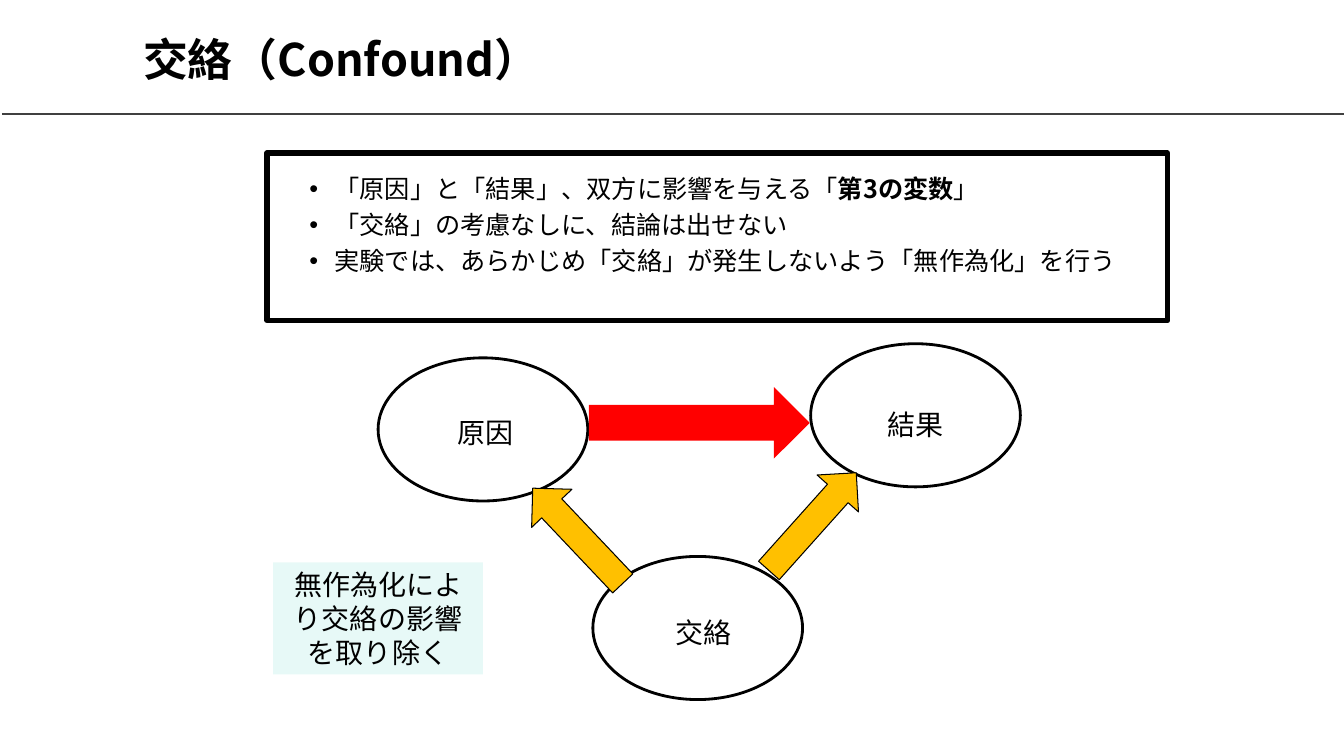
from lxml import etree
from pptx import Presentation
from pptx.dml.color import RGBColor
from pptx.enum import shapes, text
from pptx.oxml import ns
from pptx.util import Inches, Pt

FONT = "Noto Sans CJK JP"
BLACK = RGBColor(0x00, 0x00, 0x00)
GRAY = RGBColor(0x40, 0x40, 0x40)
RED = RGBColor(0xFF, 0x00, 0x00)
AMBER = RGBColor(0xFF, 0xC0, 0x00)
MINT = RGBColor(0xD0, 0xF4, 0xEF)


def style_run(run, size, bold=False):
    run.font.name = FONT
    run.font.size = Pt(size)
    run.font.bold = bold
    run.font.color.rgb = BLACK
    east_asian = etree.SubElement(run.font._element, ns.qn("a:ea"))
    east_asian.set("typeface", FONT)


def add_figure(kind, left, top, width, height, fill=None, line_width=None, rotation=0):
    shape = slide.shapes.add_shape(
        kind, Inches(left), Inches(top), Inches(width), Inches(height))
    shape.shadow.inherit = False
    shape.rotation = rotation
    if fill is None:
        shape.fill.background()
    else:
        shape.fill.solid()
        shape.fill.fore_color.rgb = fill
    if line_width is None:
        shape.line.fill.background()
    else:
        shape.line.color.rgb = BLACK
        shape.line.width = Pt(line_width)
    return shape


presentation = Presentation()
presentation.slide_width = Inches(13.33)
presentation.slide_height = Inches(7.5)
slide = presentation.slides.add_slide(presentation.slide_layouts[5])

rule = slide.shapes.add_connector(
    shapes.MSO_CONNECTOR.STRAIGHT, Inches(0.02), Inches(1.13), Inches(13.33), Inches(1.13))
rule.line.color.rgb = GRAY
rule.line.width = Pt(1.5)
etree.SubElement(rule._element.spPr, ns.qn("a:effectLst"))

title = slide.shapes.title
title.left, title.top = Inches(1.32), Inches(0.16)
title.width, title.height = Inches(11.56), Inches(0.84)
title.text_frame.text = "交絡（Confound）"
title.text_frame.vertical_anchor = text.MSO_ANCHOR.MIDDLE
title.text_frame.paragraphs[0].alignment = text.PP_ALIGN.LEFT
style_run(title.text_frame.paragraphs[0].runs[0], 32, True)

points = [
    [("「原因」と「結果」、双方に影響を与える「", False), ("第3の変数", True), ("」", False)],
    [("「交絡」の考慮なしに、結論は出せない", False)],
    [("実験では、あらかじめ「交絡」が発生しないよう「無作為化」を行う", False)],
]
body = slide.shapes.add_textbox(Inches(2.97), Inches(1.73), Inches(9.37), Inches(1.66))
body.text_frame.word_wrap = True
for index, parts in enumerate(points):
    paragraph = body.text_frame.add_paragraph() if index else body.text_frame.paragraphs[0]
    properties = paragraph._p.get_or_add_pPr()
    properties.set("marL", str(Inches(0.25)))
    properties.set("indent", str(-Inches(0.25)))
    etree.SubElement(properties, ns.qn("a:buFont")).set("typeface", "Arial")
    etree.SubElement(properties, ns.qn("a:buChar")).set("char", "•")
    paragraph.line_spacing = 0.8
    if index:
        paragraph.space_before = Pt(8.5)
    for wording, bold in parts:
        run = paragraph.add_run()
        run.text = wording
        style_run(run, 18, bold)

add_figure(shapes.MSO_SHAPE.RECTANGLE, 2.65, 1.52, 8.93, 1.66, line_width=4)

variables = [
    ("原因", 3.75, 3.55, 4.44, 4.07),
    ("結果", 8.04, 3.41, 8.7, 3.99),
    ("交絡", 5.88, 5.52, 6.6, 6.06),
]
for name, left, top, label_left, label_top in variables:
    add_figure(shapes.MSO_SHAPE.OVAL, left, top, 2.08, 1.42, line_width=2)
    label = slide.shapes.add_textbox(
        Inches(label_left), Inches(label_top), Inches(0.76), Inches(0.44))
    label.text_frame.word_wrap = False
    label.text_frame.text = name
    label.text_frame.paragraphs[0].alignment = text.PP_ALIGN.CENTER
    style_run(label.text_frame.paragraphs[0].runs[0], 20)

add_figure(shapes.MSO_SHAPE.RIGHT_ARROW, 5.84, 3.84, 2.19, 0.71, RED)
for left, top, rotation in [(5.08, 5.04, 226.6), (7.41, 4.9, 311.8)]:
    add_figure(shapes.MSO_SHAPE.RIGHT_ARROW, left, top, 1.3, 0.55, AMBER, 0.75, rotation)

note = add_figure(shapes.MSO_SHAPE.RECTANGLE, 2.71, 5.58, 2.08, 1.11, MINT)
note_color = note._element.spPr.find(ns.qn("a:solidFill"))[0]
etree.SubElement(note_color, ns.qn("a:alpha")).set("val", "49000")
note.text_frame.word_wrap = True
note.text_frame.text = "無作為化により交絡の影響を取り除く"
note.text_frame.paragraphs[0].alignment = text.PP_ALIGN.CENTER
style_run(note.text_frame.paragraphs[0].runs[0], 20)

presentation.save("out.pptx")
